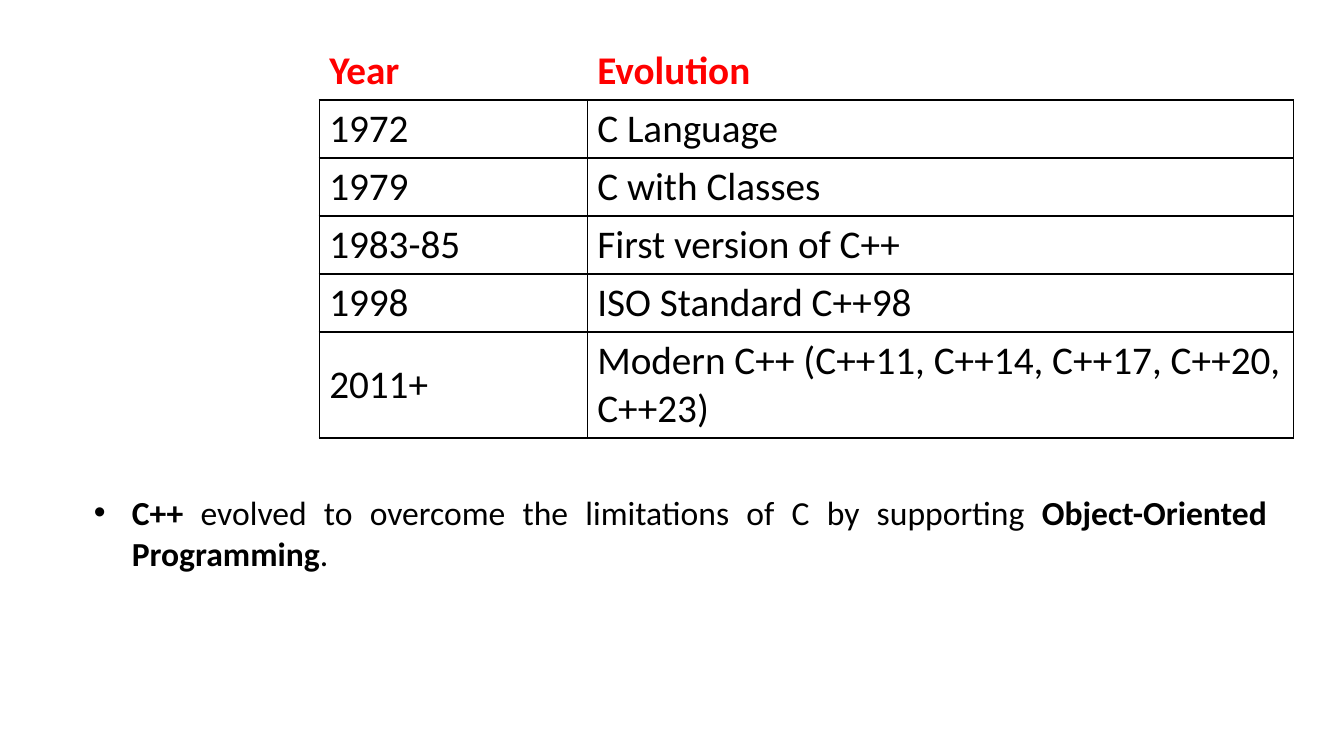
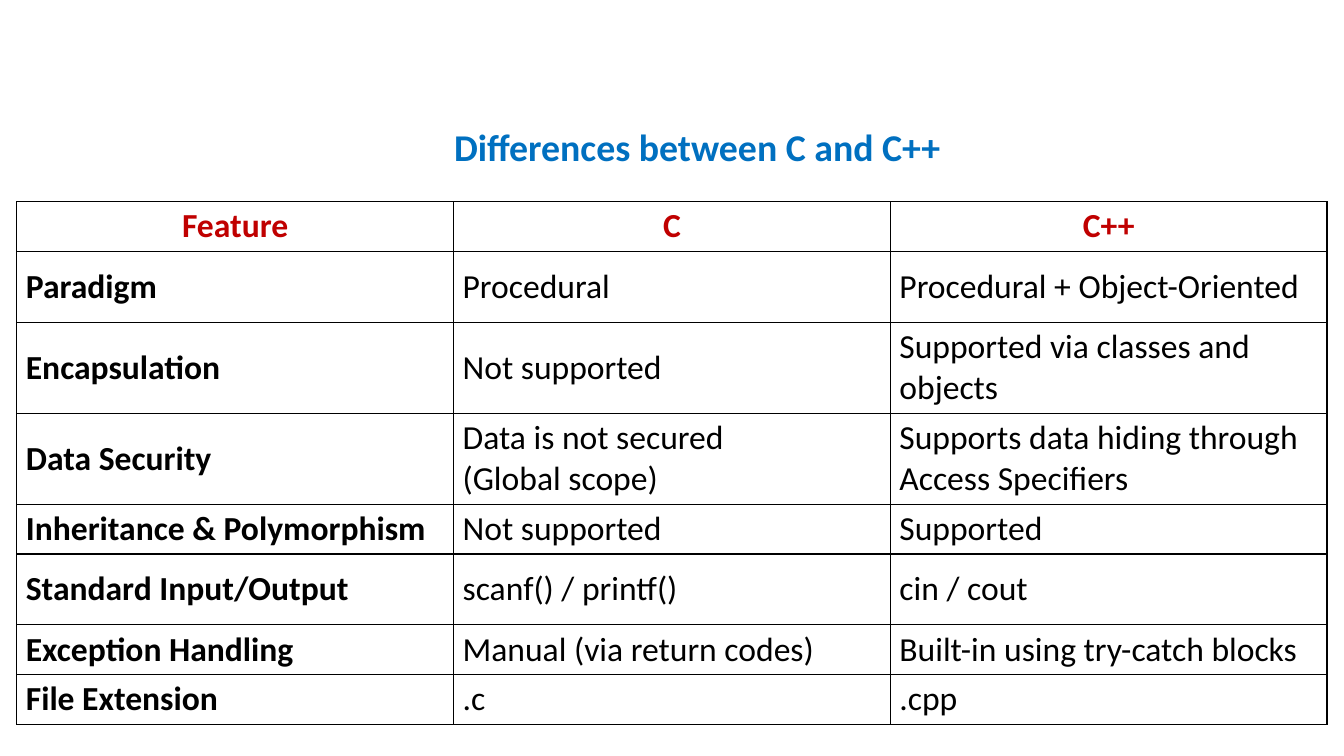
from dataclasses import dataclass

from lxml.etree import SubElement
from pptx import Presentation
from pptx.dml.color import RGBColor
from pptx.enum.text import MSO_ANCHOR as Anchor, MSO_AUTO_SIZE as AutoSize, PP_ALIGN as Align
from pptx.oxml.ns import qn
from pptx.util import Pt


@dataclass(frozen=True)
class Theme:
    font: str = "Calibri"
    ink: str = "000000"
    title: str = "0070C0"
    timeline_head: str = "FF0000"
    compare_head: str = "C00000"
    title_size: float = 27
    timeline_size: float = 28
    body_size: float = 24
    border: float = 1


THEME = Theme()
SIDES = ("L", "R", "T", "B")


def write_text(frame, text, *, size, colour=THEME.ink, bold=False, align=None,
               indent=0, hanging=0, bullet=None, line_spacing=None, before=None):
    """Write one paragraph per line; ** switches bold on and off."""
    for index, line in enumerate(text.split("\n")):
        para = frame.add_paragraph() if index else frame.paragraphs[0]
        para.alignment = align
        para.line_spacing = line_spacing
        if before is not None:
            para.space_before = Pt(before)
        props = para._p.get_or_add_pPr()
        if indent:
            props.set("marL", str(Pt(indent)))
            props.set("indent", str(Pt(-hanging)))
        if bullet:
            SubElement(props, qn("a:buFont"), typeface="Arial")
            SubElement(props, qn("a:buChar"), char=bullet)
        for part, words in enumerate(line.split("**")):
            if not words:
                continue
            span = para.add_run()
            span.text = words
            span.font.name = THEME.font
            span.font.size = Pt(size)
            span.font.bold = bold != (part % 2 == 1)
            span.font.color.rgb = RGBColor.from_string(colour)


def set_borders(cell, visible):
    """Rule the visible sides of a cell and clear the others."""
    props = cell._tc.get_or_add_tcPr()
    for index, side in enumerate(SIDES):
        line = SubElement(props, qn(f"a:ln{side}"), w=str(Pt(THEME.border)))
        if side in visible:
            fill = SubElement(line, qn("a:solidFill"))
            SubElement(fill, qn("a:srgbClr"), val=THEME.ink)
        else:
            SubElement(line, qn("a:noFill"))
        props.insert(index, line)


class Deck:
    def __init__(self, width, height):
        self.file = Presentation()
        self.file.slide_width, self.file.slide_height = Pt(width), Pt(height)
        self.page = None

    def add_page(self):
        self.page = self.file.slides.add_slide(self.file.slide_layouts[6])

    def add_text(self, left, top, width, height, text, grow=False, **style):
        box = self.page.shapes.add_textbox(Pt(left), Pt(top), Pt(width), Pt(height))
        box.text_frame.word_wrap = True
        if grow:
            box.text_frame.auto_size = AutoSize.SHAPE_TO_FIT_TEXT
        write_text(box.text_frame, text, **style)

    def add_table(self, left, top, widths, heights, rows, *, size, head,
                  head_sides=SIDES, inset=(7.2, 3.6)):
        """Draw a ruled table; head holds the text format of the first row."""
        table = self.page.shapes.add_table(
            len(rows), len(widths), Pt(left), Pt(top), Pt(sum(widths)), Pt(sum(heights))).table
        table.first_row = table.horz_banding = False
        for column, width in zip(table.columns, widths):
            column.width = Pt(width)
        for index, (height, texts) in enumerate(zip(heights, rows)):
            table.rows[index].height = Pt(height)
            for cell, text in zip(table.rows[index].cells, texts):
                cell.vertical_anchor = Anchor.MIDDLE
                cell.margin_left = cell.margin_right = Pt(inset[0])
                cell.margin_top = cell.margin_bottom = Pt(inset[1])
                cell.fill.background()
                set_borders(cell, SIDES if index else head_sides)
                write_text(cell.text_frame, text, size=size, **({} if index else head))

    def save(self):
        self.file.save("out.pptx")


TIMELINE = [
    ("Year", "Evolution"),
    ("1972", "C Language"),
    ("1979", "C with Classes"),
    ("1983-85", "First version of C++"),
    ("1998", "ISO Standard C++98"),
    ("2011+", "Modern C++ (C++11, C++14, C++17, C++20, C++23)"),
]

COMPARISON = [
    ("Feature", "C", "C++"),
    ("**Paradigm**", "Procedural", "Procedural + Object-Oriented"),
    ("**Encapsulation**", "Not supported", "Supported via classes and objects"),
    ("**Data Security**", "Data is not secured\n(Global scope)",
     "Supports data hiding through Access Specifiers"),
    ("**Inheritance & Polymorphism**", "Not supported", "Supported"),
    ("**Standard Input/Output**", "scanf() / printf()", "cin / cout"),
    ("**Exception Handling**", "Manual (via return codes)", "Built-in using try-catch blocks"),
    ("**File Extension**", ".c", ".cpp"),
]


def main():
    deck = Deck(960, 540)

    # Evolution of the language
    deck.add_page()
    deck.add_table(228, 30, [191.5, 504.5], [41.4] * 5 + [75.6], TIMELINE,
                   size=THEME.timeline_size, head_sides=("B",),
                   head=dict(colour=THEME.timeline_head, bold=True))
    deck.add_text(60, 348, 852, 65.5,
                  "**C++** evolved to overcome the limitations of C by supporting "
                  "**Object-Oriented Programming**.",
                  grow=True, size=THEME.body_size, align=Align.JUSTIFY,
                  indent=27, hanging=27, bullet="•")

    # Comparison of the two languages
    deck.add_page()
    deck.add_text(18, 72, 924, 450, "Differences between C and C++",
                  size=THEME.title_size, colour=THEME.title, bold=True,
                  align=Align.CENTER, indent=36, line_spacing=1.4, before=10)
    single, roomy, double = 35.7, 50.4, 65
    deck.add_table(12, 144, [312] * 3,
                   [single, roomy, double, double, single, roomy, single, single],
                   COMPARISON, size=THEME.body_size, inset=(6.5, 3.2),
                   head=dict(colour=THEME.compare_head, bold=True, align=Align.CENTER))

    deck.save()


if __name__ == "__main__":
    main()
